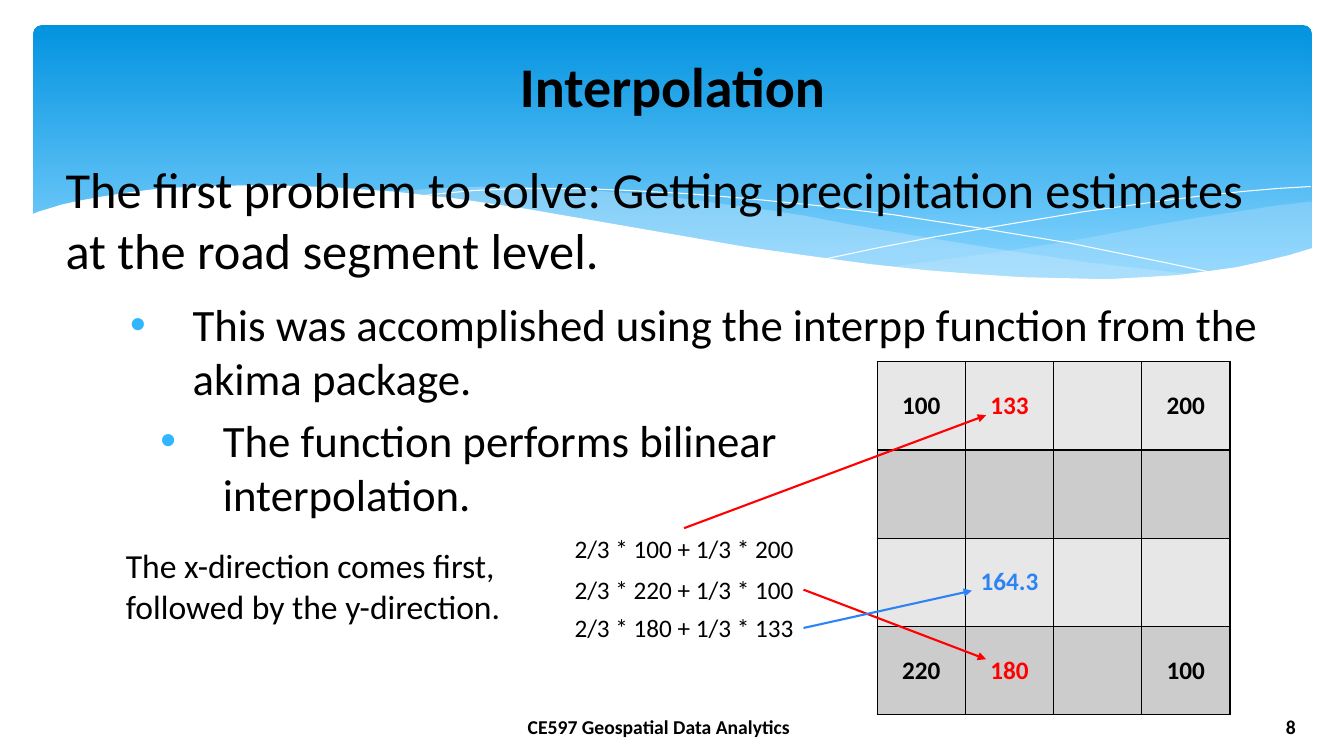
from lxml import etree
from pptx import Presentation
from pptx.dml.color import RGBColor
from pptx.enum.shapes import MSO_CONNECTOR, MSO_SHAPE
from pptx.enum.text import MSO_ANCHOR, MSO_AUTO_SIZE, PP_ALIGN
from pptx.oxml import parse_xml
from pptx.oxml.ns import nsdecls, qn
from pptx.util import Pt

PX = 9144  # 100 px to the inch
LEFT, CENTER, RIGHT = PP_ALIGN.LEFT, PP_ALIGN.CENTER, PP_ALIGN.RIGHT
MIDDLE = MSO_ANCHOR.MIDDLE
GROW, FIXED = MSO_AUTO_SIZE.SHAPE_TO_FIT_TEXT, MSO_AUTO_SIZE.NONE
STRAIGHT, ROUNDED = MSO_CONNECTOR.STRAIGHT, MSO_SHAPE.ROUNDED_RECTANGLE
TOP_SIDE, RIGHT_SIDE = 0, 3

COLORS = {
    "black": "000000", "white": "FFFFFF", "red": "FF0000", "blue": "2D83F4",
    "bullet": "31B6FD", "sky": "0293E0", "haze": "83D3FE", "mist": "C6E7FC",
    "light row": "E7E7E7", "dark row": "CCCCCC",
}

RIGHT_MIST = [
    (1300, 200), (1265, 204), (1227, 210), (1188, 216), (1147, 223), (1073, 237),
    (1005, 248), (941, 257), (882, 265), (921, 269), (958, 272), (993, 275),
    (1025, 277), (1071, 278), (1113, 277), (1151, 275), (1186, 272), (1218, 267),
    (1247, 262), (1266, 257), (1284, 252), (1301, 247), (1301, 200),
]
LEFT_MIST = [
    (1190, 273), (1154, 269), (1076, 260), (989, 247), (891, 231), (839, 222),
    (798, 214), (759, 208), (721, 203), (686, 198), (652, 194), (589, 189),
    (532, 186), (482, 185), (437, 187), (399, 189), (382, 191), (431, 196),
    (483, 203), (539, 211), (599, 222), (706, 240), (779, 252), (846, 261),
    (907, 268), (963, 274), (1014, 277), (1061, 278), (1104, 278), (1143, 277),
    (1167, 275),
]
FALLING_LINE = [
    (412, 195), (438, 192), (470, 189), (516, 187), (577, 187), (625, 189),
    (680, 192), (742, 197), (811, 204), (886, 213), (970, 226), (1060, 241),
    (1158, 261), (1210, 272),
]
RISING_LINE = [
    (818, 257), (870, 246), (927, 235), (997, 223), (1075, 210), (1155, 199),
    (1194, 194), (1232, 190), (1267, 187), (1300, 185),
]
WHITE_WAVE = [
    (1302, 246), (1279, 253), (1254, 259), (1227, 265), (1198, 269), (1167, 273),
    (1134, 275), (1097, 277), (1058, 276), (1015, 275), (969, 272), (918, 268),
    (863, 262), (804, 254), (740, 245), (671, 233), (596, 220), (521, 207),
    (453, 197), (390, 190), (333, 186), (282, 184), (235, 184), (194, 185),
    (158, 187), (127, 191), (101, 195), (79, 199), (61, 203), (48, 207),
    (38, 210), (31, 213), (31, 329), (1302, 329),
]
GRID = [
    ["100", "133", "", "200"],
    ["", "", "", ""],
    ["", "164.3", "", ""],
    ["220", "180", "", "100"],
]
ESTIMATES = {"133": "red", "180": "red", "164.3": "blue"}


def rgb(name):
    return RGBColor.from_string(COLORS[name])


class SlideBuilder:
    font = "Calibri"

    def __init__(self, page):
        self.page = page
        self.shapes = page.shapes

    def place(self, box, left, top, width, height):
        box.left, box.top = left * PX, top * PX
        box.width, box.height = width * PX, height * PX

    def add_text(self, para, text, size, color="black", bold=False):
        for index, line in enumerate(text.split("\n")):
            if index:
                para.add_line_break()
            span = para.add_run()
            span.text = line
            span.font.name, span.font.size = self.font, Pt(size)
            span.font.bold, span.font.color.rgb = bold, rgb(color)

    def banner(self, left, top, width, height):
        box = self.shapes.add_shape(
            ROUNDED, left * PX, top * PX, width * PX, height * PX)
        box.shadow.inherit = False
        box.adjustments[0] = 0.03
        box.line.fill.background()
        box.fill.gradient()
        box.fill.gradient_angle = 270
        for stop, color, position in zip(
                box.fill.gradient_stops, ("sky", "haze"), (0, 0.9)):
            stop.color.rgb, stop.position = rgb(color), position

    def outline(self, points, closed):
        builder = self.shapes.build_freeform(*points[0], scale=PX)
        builder.add_line_segments(points[1:], close=closed)
        shape = builder.convert_to_shape()
        shape.shadow.inherit = False
        return shape

    def area(self, points, color, opacity=100):
        shape = self.outline(points, True)
        shape.line.fill.background()
        shape.fill.solid()
        shape.fill.fore_color.rgb = rgb(color)
        if opacity < 100:
            tint = shape.element.spPr.find(qn("a:solidFill"))[0]
            etree.SubElement(tint, qn("a:alpha"), val=str(opacity * 1000))

    def hairline(self, points):
        shape = self.outline(points, False)
        shape.fill.background()
        shape.line.color.rgb, shape.line.width = rgb("white"), 0

    def placeholder(self, index, left, top, width, height):
        """Move a template placeholder and bring it in front of the backdrop."""
        box = self.page.placeholders[index]
        self.place(box, left, top, width, height)
        box.element.getparent().append(box.element)
        box.text_frame.auto_size = FIXED
        return box.text_frame

    def title(self, text, *place):
        frame = self.placeholder(0, *place)
        frame.vertical_anchor = MIDDLE
        para = frame.paragraphs[0]
        para.alignment = CENTER
        self.add_text(para, text, 40, bold=True)

    def body(self, lead, points, *place):
        """Add a lead sentence, then (text, left indent) points one level deeper each."""
        frame = self.placeholder(1, *place)
        para = frame.paragraphs[0]
        para.space_before, para.space_after = Pt(0), Pt(6)
        self.indent(para, 0, 0)
        etree.SubElement(para._p.pPr, qn("a:buNone"))
        self.add_text(para, lead, 36)
        for level, (text, margin) in enumerate(points, 1):
            para = frame.add_paragraph()
            para.level = level
            self.indent(para, margin, -62)
            properties = para._p.pPr
            properties.append(parse_xml(
                f'<a:buClr {nsdecls("a")}><a:srgbClr val="{COLORS["bullet"]}"/></a:buClr>'))
            etree.SubElement(properties, qn("a:buFont"), typeface="Arial")
            etree.SubElement(properties, qn("a:buChar"), char="•")
            self.add_text(para, text, 32)

    def indent(self, para, margin, hanging):
        properties = para._p.get_or_add_pPr()
        properties.set("marL", str(margin * PX))
        properties.set("indent", str(hanging * PX))

    def label(self, text, left, top, width, height, size,
              bold=False, align=LEFT, wrap=True):
        box = self.shapes.add_textbox(left * PX, top * PX, width * PX, height * PX)
        frame = box.text_frame
        frame.word_wrap, frame.auto_size = wrap, GROW
        frame.paragraphs[0].alignment = align
        self.add_text(frame.paragraphs[0], text, size, bold=bold)
        return box

    def arrow(self, box, side, end_x, end_y, color):
        line = self.shapes.add_connector(STRAIGHT, 0, 0, end_x * PX, end_y * PX)
        line.begin_connect(box, side)
        line.line.color.rgb, line.line.width = rgb(color), Pt(1.5)
        outline = line.element.spPr.find(qn("a:ln"))
        etree.SubElement(outline, qn("a:tailEnd"), type="triangle")
        etree.SubElement(line.element.spPr, qn("a:effectLst"))

    def grid(self, values, left, top, side):
        count = len(values)
        table = self.shapes.add_table(
            count, count, left * PX, top * PX, side * PX, side * PX).table
        for row, texts in enumerate(values):
            table.rows[row].height = side * PX // count
            for column, text in enumerate(texts):
                self.cell(table.cell(row, column), text,
                          "dark row" if row % 2 else "light row")

    def cell(self, cell, text, fill):
        for edge in ("lnL", "lnR", "lnT", "lnB"):
            cell._tc.get_or_add_tcPr().append(parse_xml(
                f'<a:{edge} {nsdecls("a")} w="12700"><a:solidFill>'
                f'<a:srgbClr val="{COLORS["black"]}"/></a:solidFill></a:{edge}>'))
        cell.fill.solid()
        cell.fill.fore_color.rgb = rgb(fill)
        cell.vertical_anchor = MIDDLE
        if text:
            para = cell.text_frame.paragraphs[0]
            para.alignment = CENTER
            self.add_text(para, text, 18, ESTIMATES.get(text, "black"), True)


def main():
    deck = Presentation()
    deck.slide_width, deck.slide_height = 1333 * PX, 750 * PX
    slide = SlideBuilder(deck.slides.add_slide(deck.slide_layouts[1]))

    slide.banner(33, 25, 1268, 270)
    slide.area(RIGHT_MIST, "mist", 29)
    slide.area(LEFT_MIST, "mist", 40)
    slide.hairline(FALLING_LINE)
    slide.hairline(RISING_LINE)
    slide.area(WHITE_WAVE, "white")
    slide.label("CE597 Geospatial Data Analytics", 324, 704, 659, 34, 14, True, CENTER)
    slide.label("8", 1157, 704, 138, 34, 14, True, RIGHT)

    slide.body(
        "The first problem to solve: Getting precipitation estimates at the road segment level.",
        [("This was accomplished using the interpp function from the akima package.", 126),
         ("The function performs bilinear \ninterpolation.", 156)],
        55, 152, 1224, 540)
    slide.title("Interpolation", 67, 37, 1200, 94)
    slide.grid(GRID, 870, 359, 350)

    for text, top, side, end_x, end_y, color in (
            ("2/3 * 100 + 1/3 * 200", 524, TOP_SIDE, 978, 412, "red"),
            ("2/3 * 220 + 1/3 * 100", 565, RIGHT_SIDE, 978, 654, "red"),
            ("2/3 * 180 + 1/3 * 133", 603, RIGHT_SIDE, 964, 586, "blue")):
        formula = slide.label(text, 560, top, 237, 40, 18, wrap=False)
        slide.arrow(formula, side, end_x, end_y, color)
    slide.label("The x-direction comes first, followed by the y-direction.",
                115, 536, 445, 91, 24)
    deck.save("out.pptx")


if __name__ == "__main__":
    main()
